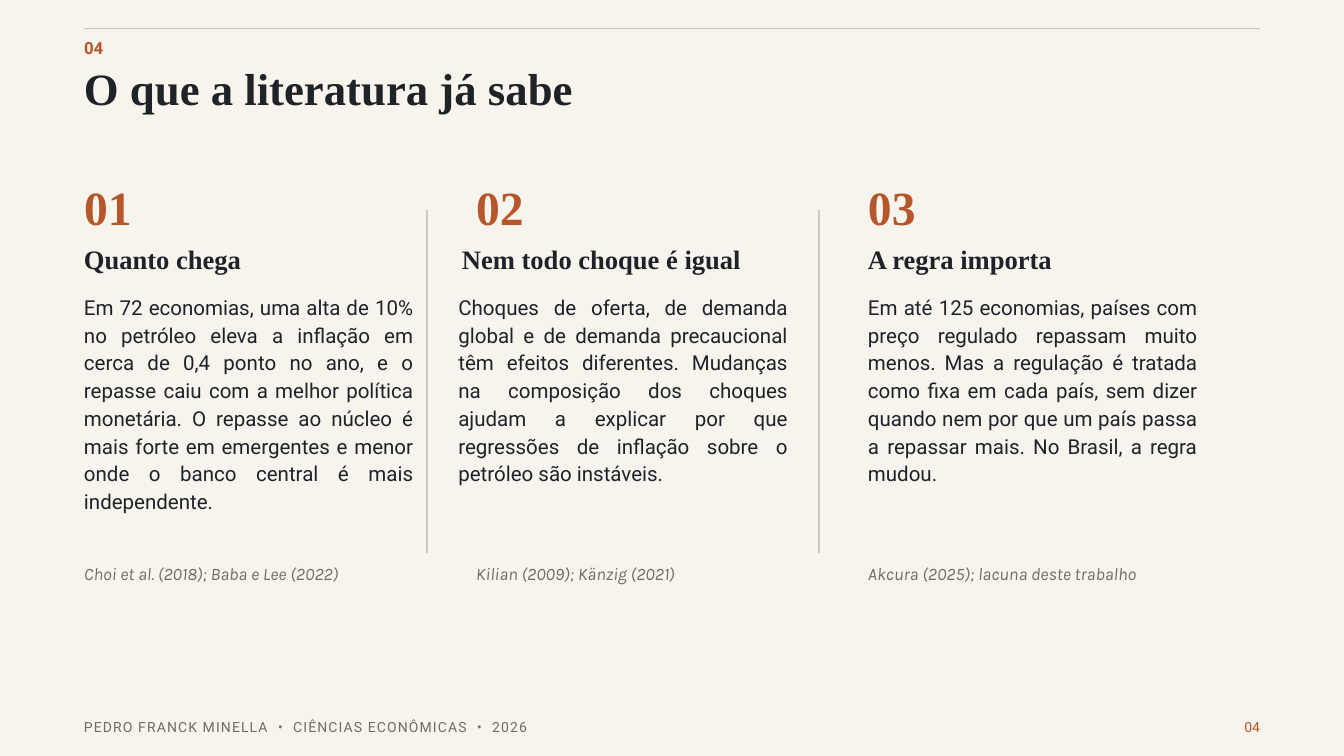
"""Builds the literature review slide: three numbered findings on a 48 by 27 grid."""
from dataclasses import dataclass
from typing import NamedTuple

from lxml import etree
from pptx import Presentation
from pptx import util as u
from pptx.dml import color
from pptx.enum import shapes, text
from pptx.oxml import ns

CELL = u.Inches(20) // 48
MARGIN, PITCH, DIVIDER = 3, 14, 12.25


class Style(NamedTuple):
    font: str
    size: float
    leading: float
    color: str
    bold: bool = False
    italic: bool = False
    spacing: float = 0
    align: text.PP_ALIGN = text.PP_ALIGN.LEFT


@dataclass(frozen=True)
class Theme:
    paper: str = "F7F4EE"
    ink: str = "1F2328"
    accent: str = "B5562B"
    muted: str = "6F6B65"
    rule: str = "CFC8BD"
    serif: str = "Times New Roman"
    sans: str = "Roboto"
    cite: str = "Karla"


T = Theme()
KICKER = Style(T.sans, 18, 25.2, T.accent, bold=True)
TITLE = Style(T.serif, 48, 49, T.ink, bold=True)
NUMBER = Style(T.serif, 51, 71.4, T.accent, bold=True)
HEADING = Style(T.serif, 28.5, 39.9, T.ink, bold=True)
BODY = Style(T.sans, 22, 29.7, T.ink, align=text.PP_ALIGN.JUSTIFY)
SOURCE = Style(T.cite, 18.8, 26.2, T.muted, italic=True)
FOOTER = Style(T.sans, 15, 21, T.muted, spacing=1.2)
PAGE = Style(T.sans, 15, 21, T.accent, align=text.PP_ALIGN.RIGHT)
FOOTER_GAP = 6.1


class Box(NamedTuple):
    col: float
    row: float
    cols: float
    rows: float

    def emu(self) -> list[int]:
        return [round(v * CELL) for v in self]


@dataclass(frozen=True)
class Finding:
    heading: str
    body: str
    source: str
    heading_shift: float = 0
    body_shift: float = 0


FINDINGS = [
    Finding(
        "Quanto chega",
        "Em 72 economias, uma alta de 10% no petróleo eleva a inflação em cerca de 0,4 ponto no ano, "
        "e o repasse caiu com a melhor política monetária. O repasse ao núcleo é mais forte em "
        "emergentes e menor onde o banco central é mais independente.",
        "Choi et al. (2018); Baba e Lee (2022)",
    ),
    Finding(
        "Nem todo choque é igual",
        "Choques de oferta, de demanda global e de demanda precaucional têm efeitos diferentes. "
        "Mudanças na composição dos choques ajudam a explicar por que regressões de inflação sobre "
        "o petróleo são instáveis.",
        "Kilian (2009); Känzig (2021)",
        heading_shift=-0.5,
        body_shift=-0.63,
    ),
    Finding(
        "A regra importa",
        "Em até 125 economias, países com preço regulado repassam muito menos. Mas a regulação é "
        "tratada como fixa em cada país, sem dizer quando nem por que um país passa a repassar mais. "
        "No Brasil, a regra mudou.",
        "Akcura (2025); lacuna deste trabalho",
    ),
]
FOOTER_PARTS = ["PEDRO FRANCK MINELLA", "CIÊNCIAS ECONÔMICAS", "2026"]


def rgb(value: str) -> color.RGBColor:
    return color.RGBColor.from_string(value)


def add_text(s, box: Box, style: Style, *parts: str) -> None:
    """Adds one paragraph; a part that is a lone space is widened into a gap."""
    tf = s.shapes.add_textbox(*box.emu()).text_frame
    tf.margin_left = tf.margin_top = tf.margin_right = tf.margin_bottom = 0
    tf.word_wrap = True
    tf.auto_size = text.MSO_AUTO_SIZE.SHAPE_TO_FIT_TEXT
    p = tf.paragraphs[0]
    p.alignment = style.align
    p.line_spacing = u.Pt(style.leading)
    for part in parts:
        r = p.add_run()
        r.text = part
        r.font.name, r.font.size = style.font, u.Pt(style.size)
        r.font.bold, r.font.italic = style.bold, style.italic
        r.font.color.rgb = rgb(style.color)
        spacing = FOOTER_GAP if part == " " else style.spacing
        if spacing:
            r._r.get_or_add_rPr().set("spc", str(round(spacing * 100)))


def add_rule(s, box: Box) -> None:
    sp = s.shapes.add_shape(shapes.MSO_SHAPE.RECTANGLE, *box.emu())
    sp.shadow.inherit = False
    sp.fill.solid()
    sp.fill.fore_color.rgb = rgb(T.rule)
    sp.line.fill.background()


def add_divider(s, col: float, top: float, bottom: float) -> None:
    x, y1, y2 = (round(v * CELL) for v in (col, top, bottom))
    line = s.shapes.add_connector(shapes.MSO_CONNECTOR.STRAIGHT, x, y1, x, y2)
    line.line.color.rgb = rgb(T.rule)
    line.line.width = u.Pt(1.5)
    etree.SubElement(line._element.spPr, ns.qn("a:effectLst"))


def add_finding(s, index: int, finding: Finding) -> None:
    col = MARGIN + index * PITCH
    add_text(s, Box(col, 6, 10.5, 2.27), NUMBER, f"{index + 1:02}")
    add_text(s, Box(col + finding.heading_shift, 8.5, 11, 1.27), HEADING, finding.heading)
    add_text(s, Box(col + finding.body_shift, 10.42, 11.76, 6.8), BODY, finding.body)
    add_text(s, Box(col, 20, 11.76, 0.83), SOURCE, finding.source)


def main() -> None:
    prs = Presentation()
    prs.slide_width, prs.slide_height = 48 * CELL, 27 * CELL
    s = prs.slides.add_slide(prs.slide_layouts[6])
    s.background.fill.solid()
    s.background.fill.fore_color.rgb = rgb(T.paper)

    add_text(s, Box(MARGIN, 1.22, 2.25, 0.8), KICKER, "04")
    add_text(s, Box(MARGIN, 2.47, 37.5, 1.75), TITLE, "O que a literatura já sabe")
    add_rule(s, Box(MARGIN, 1, 42, 0.04))
    for i in range(len(FINDINGS) - 1):
        add_divider(s, MARGIN + DIVIDER + i * PITCH, 7.5, 19.75)
    for i, finding in enumerate(FINDINGS):
        add_finding(s, i, finding)

    first, *rest = FOOTER_PARTS
    footer = [first] + [part for name in rest for part in (" ", "•", " ", name)]
    add_text(s, Box(MARGIN, 25.56, 30, 0.67), FOOTER, *footer)
    add_text(s, Box(42.5, 25.56, 2.5, 0.67), PAGE, "04")
    prs.save("out.pptx")


if __name__ == "__main__":
    main()
